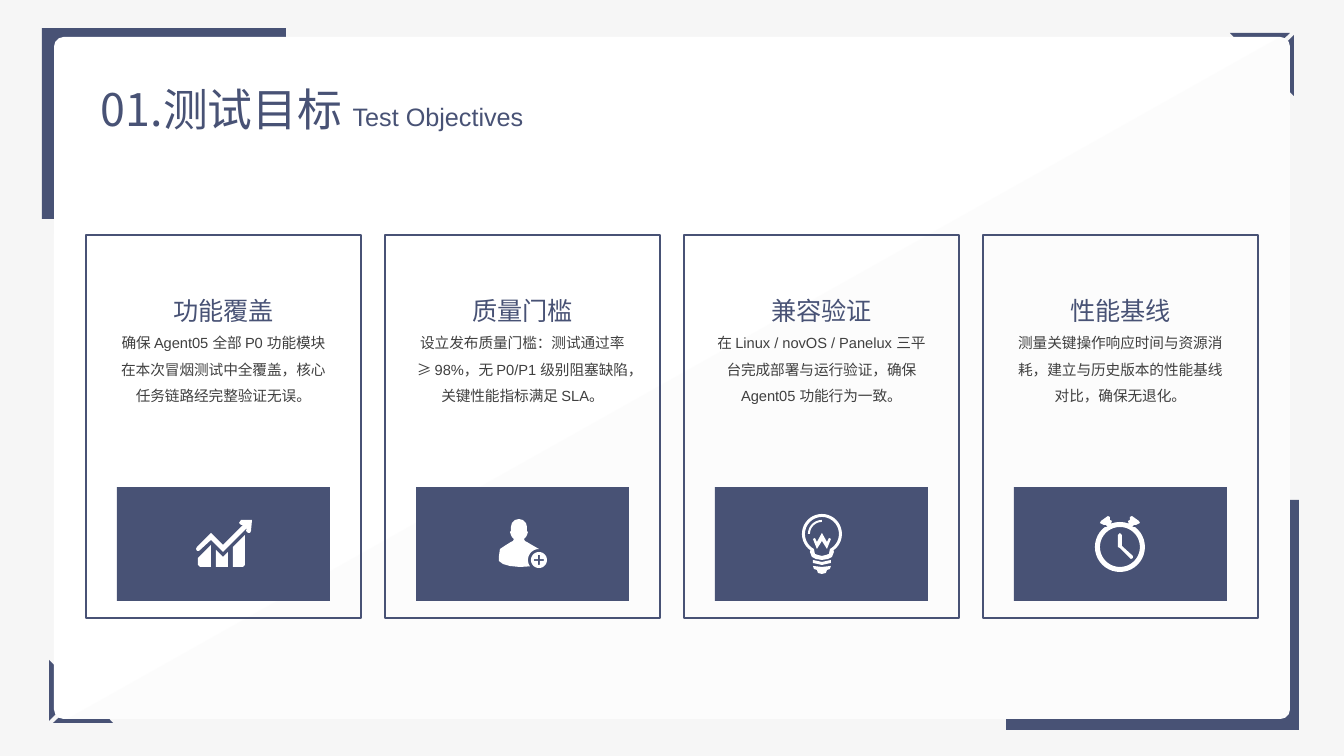
import math

import pptx
import pptx.dml.color
import pptx.enum.shapes
import pptx.enum.text
import pptx.oxml
import pptx.oxml.ns
import pptx.util

NAVY, WHITE, GREY, PAPER, SHADE = "485275", "FFFFFF", "404040", "F6F6F6", "F2F2F2"
LATIN, CHINESE = "Arial", "Noto Sans CJK SC"
PX = 914400 / 100.8


def emu(px):
    return pptx.util.Emu(round(px * PX))


def color(hex_code):
    return pptx.dml.color.RGBColor.from_string(hex_code)


def arc(cx, cy, radius, start=0, end=360):
    """Points on a circle, angles in degrees clockwise from the right."""
    steps = max(2, round(abs(end - start) / 9))
    angles = [math.radians(start + (end - start) * i / steps) for i in range(steps + 1)]
    return [(cx + radius * math.cos(a), cy + radius * math.sin(a)) for a in angles]


def mirrored(half, axis):
    return [(2 * axis - x, y) for x, y in reversed(half)]


def symmetric(half, axis):
    return half + mirrored(half, axis)


class Deck:
    def __init__(self, width, height):
        self.presentation = pptx.Presentation()
        self.presentation.slide_width = emu(width)
        self.presentation.slide_height = emu(height)
        self.slide = self.presentation.slides.add_slide(self.presentation.slide_layouts[6])
        self.slide.background.fill.solid()
        self.slide.background.fill.fore_color.rgb = color(PAPER)

    def paint(self, shape, fill=None, line=None):
        shape.shadow.inherit = False
        if fill:
            shape.fill.solid()
            shape.fill.fore_color.rgb = color(fill)
        else:
            shape.fill.background()
        if line:
            shape.line.color.rgb = color(line)
            shape.line.width = pptx.util.Pt(1)
        else:
            shape.line.fill.background()
        return shape

    def box(self, left, top, width, height, fill=None, line=None, rounding=None):
        kinds = pptx.enum.shapes.MSO_SHAPE
        kind = kinds.ROUNDED_RECTANGLE if rounding else kinds.RECTANGLE
        shape = self.slide.shapes.add_shape(kind, emu(left), emu(top), emu(width), emu(height))
        if rounding:
            shape.adjustments[0] = rounding
        return self.paint(shape, fill, line)

    def outline(self, contours, fill, left=0, top=0, alpha=None):
        """One filled shape; an inner contour cuts a hole."""
        builder = None
        for contour in contours:
            points = [(emu(left + x), emu(top + y)) for x, y in contour]
            if builder is None:
                builder = self.slide.shapes.build_freeform(*points[0], scale=1.0)
            else:
                builder.move_to(*points[0])
            builder.add_line_segments(points[1:], close=True)
        shape = self.paint(builder.convert_to_shape(), fill)
        if alpha:
            tint = shape.fill._xPr.find(".//" + pptx.oxml.ns.qn("a:srgbClr"))
            pptx.oxml.ns.qn("a:alpha")
            tint.append(pptx.oxml.parse_xml(
                f'<a:alpha {pptx.oxml.ns.nsdecls("a")} val="{alpha * 1000}"/>'))

    def text(self, left, top, width, height, paragraphs, wrap=True, align=None, spacing=None):
        """Each paragraph is a list of runs: (words, size, font, colour)."""
        frame = self.slide.shapes.add_textbox(
            emu(left), emu(top), emu(width), emu(height)).text_frame
        frame.word_wrap = wrap
        frame.auto_size = pptx.enum.text.MSO_AUTO_SIZE.SHAPE_TO_FIT_TEXT
        for i, runs in enumerate(paragraphs):
            paragraph = frame.add_paragraph() if i else frame.paragraphs[0]
            paragraph.alignment = align
            paragraph.line_spacing = spacing
            for words, size, font, ink in runs:
                run = paragraph.add_run()
                run.text = words
                run.font.size = pptx.util.Pt(size)
                run.font.color.rgb = color(ink)
                run.font.name = font
                run.font._element.append(pptx.oxml.parse_xml(
                    f'<a:ea {pptx.oxml.ns.nsdecls("a")} typeface="{CHINESE}"/>'))


# Icon contours, in px from the corner of the navy block
TREND = [
    [(94, 58), (81, 71), (81, 78), (83, 80), (94, 80)],
    [(99, 63), (99, 80), (111, 80), (111, 65), (106, 70)],
    [(116, 60), (116, 80), (126, 80), (128, 78), (128, 48)],
    [(124, 33), (122, 36), (124, 38), (126, 38), (106, 58), (94, 46), (80, 60), (79, 62),
     (80, 64), (82, 64), (94, 53), (106, 65), (130, 41), (129, 44), (131, 46), (133, 46),
     (134, 44), (135, 33)],
]
left_profile = [(83, 74), (83, 69), (84, 62), (90, 58), (95, 55), (97, 54), (98, 52),
                (96, 50), (95, 48), (94, 45), (95, 44), (95, 40), (96, 36), (99, 33), (103, 32)]
right_profile = mirrored(left_profile[3:], 103)
badge_x, badge_y = 123, 73
plus = [(badge_x + x, badge_y + y) for x, y in [
    (-5, -1), (-1, -1), (-1, -5), (1, -5), (1, -1), (5, -1),
    (5, 1), (1, 1), (1, 5), (-1, 5), (-1, 1), (-5, 1)]]
TESTER = [
    left_profile + right_profile + arc(badge_x, badge_y, 11, 270, 145)
    + [(104, 80), (94, 79), (87, 77)],
    arc(badge_x, badge_y, 8),
    plus,
]
BULB_X = 107
BULB = [
    symmetric([(BULB_X, 73), (101, 72), (97, 70), (95, 65)]
              + arc(BULB_X, 47, 20, 125, 270), BULB_X),
    symmetric([(BULB_X, 69), (103, 68), (100, 67), (99, 62)]
              + arc(BULB_X, 47, 17, 118, 270), BULB_X),
    symmetric([(BULB_X, 78), (98, 76), (98, 73), (BULB_X, 75)], BULB_X),
    symmetric([(BULB_X, 87), (103, 86), (102, 83), (99, 82), (98, 79), (BULB_X, 80)], BULB_X),
    arc(BULB_X, 47, 14, 180, 270) + arc(BULB_X, 47, 12, 270, 180),
    symmetric([(BULB_X, 46), (102, 55), (100, 51), (98, 52), (102, 62), (BULB_X, 54)], BULB_X),
]
CLOCK_X, CLOCK_Y = 106, 60
left_ear = [(94, 40), (92, 38), (90, 38), (86, 36), (87, 34), (94, 29), (96, 30),
            (96, 33), (98, 34), (97, 37)]
CLOCK = [
    arc(CLOCK_X, CLOCK_Y, 25, -53, 233) + left_ear
    + arc(CLOCK_X, CLOCK_Y, 25, -110, -70) + mirrored(left_ear, CLOCK_X),
    arc(CLOCK_X, CLOCK_Y, 20),
    [(104, 48), (106, 46), (108, 48), (108, 59), (119, 69), (119, 71), (117, 72),
     (106, 61), (104, 60)],
]

CARDS = [
    ("功能覆盖", "确保 Agent05 全部 P0 功能模块在本次冒烟测试中全覆盖，核心任务链路经完整验证无误。", TREND),
    ("质量门槛", "设立发布质量门槛：测试通过率 ≥ 98%，无 P0/P1 级别阻塞缺陷，关键性能指标满足 SLA。", TESTER),
    ("兼容验证", "在 Linux / novOS / Panelux 三平台完成部署与运行验证，确保 Agent05 功能行为一致。", BULB),
    ("性能基线", "测量关键操作响应时间与资源消耗，建立与历史版本的性能基线对比，确保无退化。", CLOCK),
]


def main():
    deck = Deck(1344, 756)

    # Corner blocks and ribbons behind the panel
    deck.box(42, 28, 244, 191, NAVY)
    deck.box(1006, 500, 293, 230, NAVY)
    ribbon = [[(64, 675), (64, 706), (49, 721), (49, 660)],
              [(113, 723), (53, 723), (69, 708), (99, 708)]]
    deck.outline(ribbon, NAVY)
    deck.outline([[(1343 - x, 756 - y) for x, y in strip] for strip in ribbon], NAVY)

    # White panel with a faint diagonal shade
    deck.box(54, 37, 1236, 682, WHITE, rounding=0.014)
    deck.outline([arc(1280, 47, 10, -90, 0) + arc(1280, 709, 10, 0, 90) + [(67, 719)]],
                 SHADE, alpha=16)

    # Heading
    deck.text(91, 77, 580, 65, [[("01.测试目标 ", 32, CHINESE, NAVY),
                                 ("Test Objectives", 18, LATIN, NAVY)]], wrap=False)

    # Four objective cards
    for i, (goal, detail, icon) in enumerate(CARDS):
        left = 86 + 299 * i
        deck.box(left, 235, 275, 383, line=NAVY)
        deck.box(left + 31, 487, 213, 114, NAVY)
        deck.text(left + 20, 275, 235, 163,
                  [[(goal, 18, LATIN, NAVY)], [(detail, 10.5, LATIN, GREY)]],
                  align=pptx.enum.text.PP_ALIGN.CENTER, spacing=1.5)
        deck.outline(icon, WHITE, left + 31, 487)

    deck.presentation.save("out.pptx")


if __name__ == "__main__":
    main()
